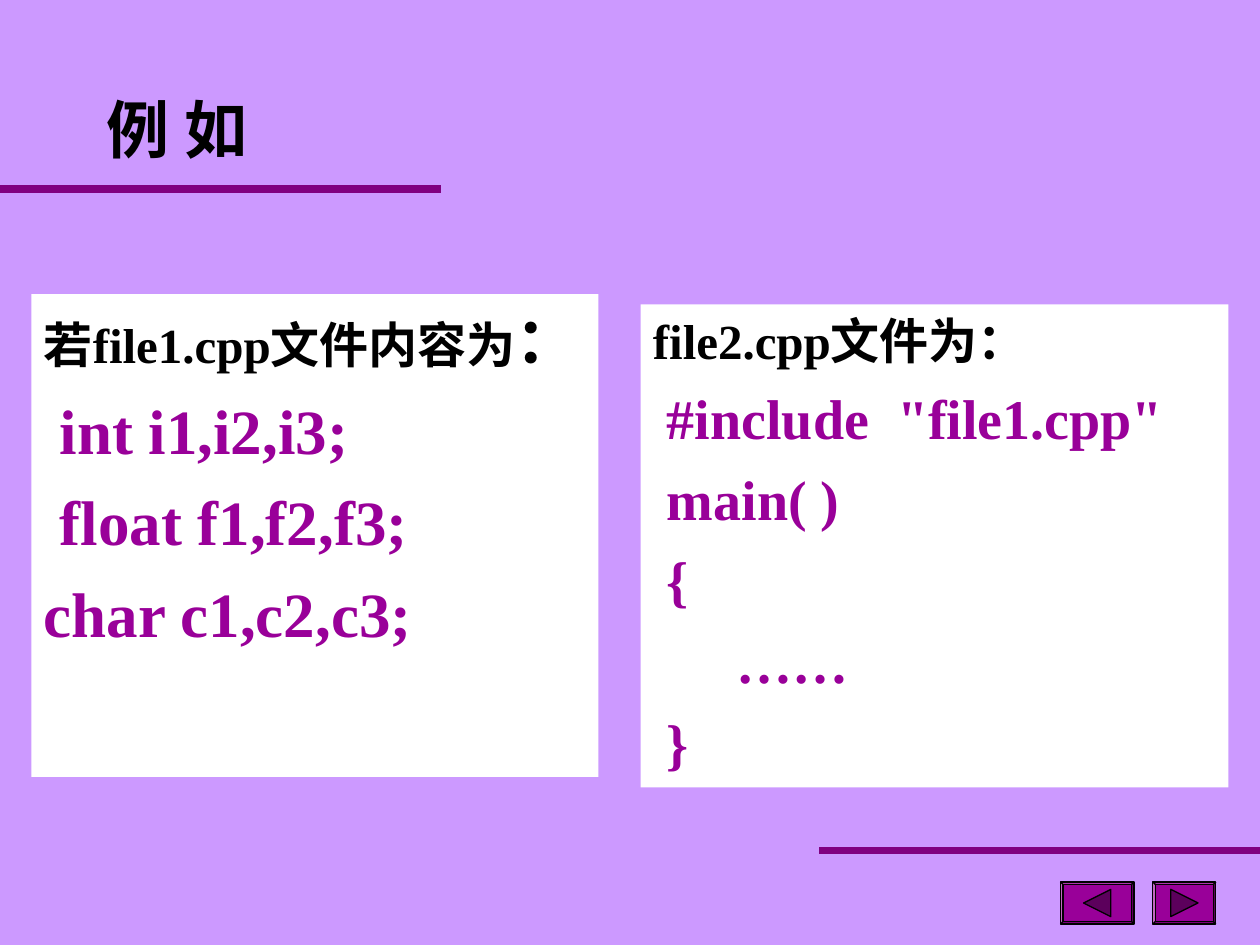
from pptx import Presentation, util as u
from pptx.dml.color import RGBColor
from pptx.enum import shapes, text
from pptx.oxml.ns import qn
from lxml import etree

CELL = u.Inches(10) / 120
INK, CODE, RULE, DARK = "000000", "990099", "800080", "5C005C"


def grid(*cells):
    """Turn grid cells, twelve to the inch, into lengths."""
    return [u.Emu(round(n * CELL)) for n in cells]


def hue(code):
    """Make a colour from a hex string."""
    return RGBColor.from_string(code)


def put(item, vals):
    """Set each named value on an item."""
    for key, val in vals.items():
        setattr(item, key, val)


def write(shape, lines, align, anchor):
    """Fill a shape with lines of (space before, runs of (text, size, colour))."""
    frame = shape.text_frame
    put(frame, {"word_wrap": True, "vertical_anchor": anchor})
    for row, (gap, runs) in enumerate(lines):
        para = frame.add_paragraph() if row else frame.paragraphs[0]
        put(para, {"alignment": align, "space_before": u.Pt(gap)})
        para._p.get_or_add_pPr().set("hangingPunct", "0")
        for words, size, ink in runs:
            run = para.add_run()
            run.text = words
            put(run.font, {"name": "Times New Roman", "size": u.Pt(size), "bold": True})
            run.font.color.rgb = hue(ink)


def block(slide, kind, box, fill, line=None):
    """Add a filled preset shape on the grid."""
    shape = slide.shapes.add_shape(kind, *grid(*box))
    shape.shadow.inherit = False
    shape.fill.solid()
    shape.fill.fore_color.rgb = hue(fill)
    if line:
        shape.line.color.rgb = hue(line)
        shape.line.width = u.Pt(0.75)
    else:
        shape.line.fill.background()
    return shape


def title(slide, box, words):
    """Add the heading."""
    shape = slide.shapes.add_textbox(*grid(*box))
    write(shape, [(0, [(words, 36, INK)])], text.PP_ALIGN.LEFT, text.MSO_ANCHOR.MIDDLE)


def panel(slide, box, head, code, size, gap):
    """Add a white panel with a heading and lines of code."""
    shape = block(slide, shapes.MSO_SHAPE.RECTANGLE, box, "FFFFFF")
    lines = [(0, head)] + [(gap, [(line, size, CODE)]) for line in code]
    write(shape, lines, text.PP_ALIGN.JUSTIFY, text.MSO_ANCHOR.TOP)


def rule(slide, left, right, row):
    """Add a thick level line."""
    line = slide.shapes.add_connector(
        shapes.MSO_CONNECTOR.STRAIGHT, *grid(left, row, right, row))
    line.line.color.rgb = hue(RULE)
    line.line.width = u.Pt(4.5)
    etree.SubElement(line._element.spPr, qn("a:effectLst"))


def button(slide, left, wide, turn):
    """Add a bevelled button with a turned triangle."""
    top, high, side = 84, 4, 2.6
    face = block(slide, shapes.MSO_SHAPE.BEVEL, (left, top, wide, high), CODE, INK)
    face.adjustments[0] = 0.06
    spot = (left + (wide - side) / 2, top + (high - side) / 2, side, side)
    mark = block(slide, shapes.MSO_SHAPE.ISOSCELES_TRIANGLE, spot, DARK, INK)
    mark.rotation = turn


def main():
    """Build and save the slide."""
    deck = Presentation()
    put(deck, {"slide_width": u.Inches(10), "slide_height": u.Inches(7.5)})
    slide = deck.slides.add_slide(deck.slide_layouts[6])
    slide.background.fill.solid()
    slide.background.fill.fore_color.rgb = hue("CC99FF")

    title(slide, (9, 7.25, 20, 10), "例 如")
    panel(slide, (3, 28, 54, 46),
          [("若file1.cpp文件内容为", 28, INK), ("：", 36, INK)],
          [" int i1,i2,i3;", " float f1,f2,f3;", "char c1,c2,c3;"], 36, 9)
    rule(slide, 78, 120, 81)
    button(slide, 109.8, 6, 90)
    button(slide, 101, 7, 270)
    rule(slide, 0, 42, 18)
    panel(slide, (61, 29, 56, 46), [("file2.cpp文件为：", 28, INK)],
          [' #include  "file1.cpp"', " main( )", " {", "      ……", " }"], 32, 8)
    deck.save("out.pptx")


if __name__ == "__main__":
    main()
